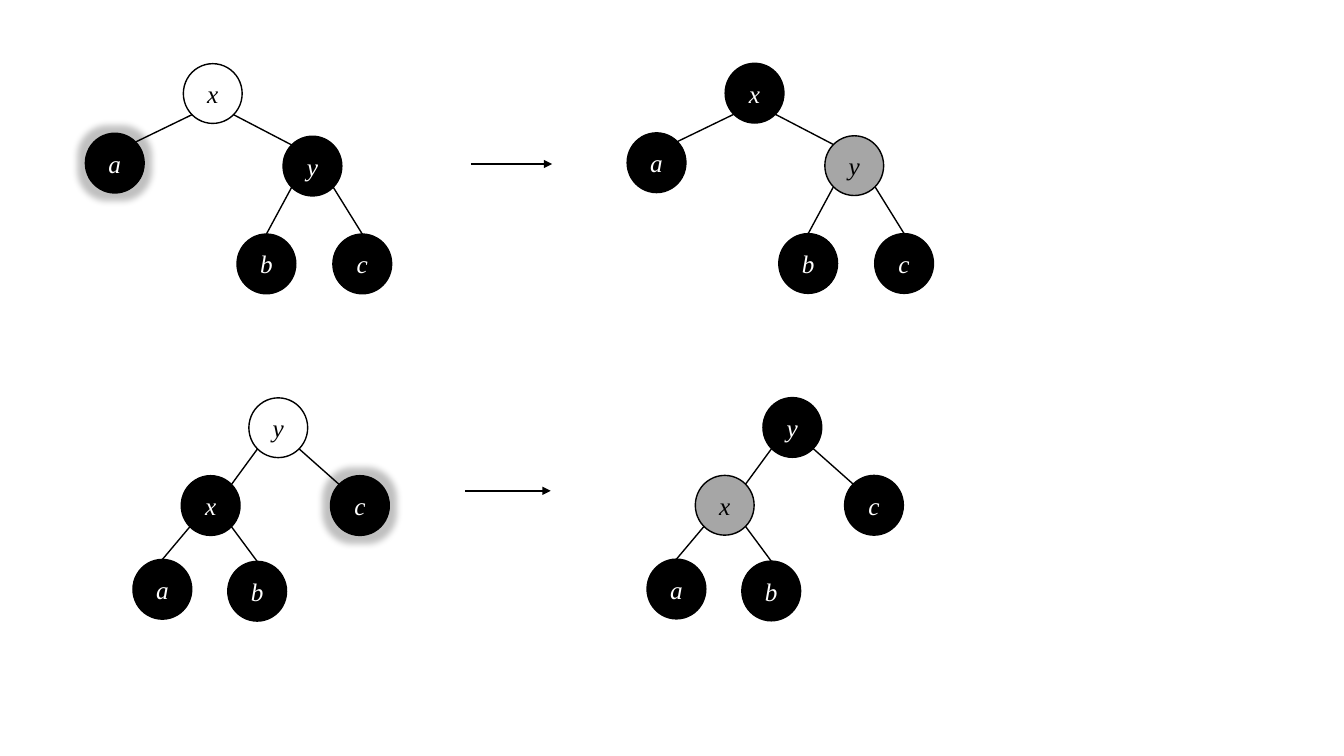
import pptx
import pptx.util
import pptx.dml.color
import pptx.enum.shapes
import pptx.enum.text
import pptx.oxml
import pptx.oxml.ns

Pt = pptx.util.Pt
BLACK, WHITE, GRAY = "000000", "FFFFFF", "A6A6A6"
NODE_WIDTH, NODE_HEIGHT = 42, 42.7
CORNER = 0.5 - 0.5 ** 1.5
TEXT_FORMAT = {
    "vertical_anchor": pptx.enum.text.MSO_ANCHOR.MIDDLE,
    "word_wrap": True,
    "margin_left": Pt(3),
    "margin_top": Pt(3),
    "margin_right": Pt(3),
    "margin_bottom": Pt(3),
}
FONT_FORMAT = {"name": "Times New Roman", "size": Pt(18), "italic": True}

RIGHT_HEAVY = {
    "nodes": {"x": (70, 0), "a": (0, 49.7), "y": (141.2, 51.8),
              "b": (108.3, 121.7), "c": (176.8, 121.7)},
    "root": "x", "children": "ay", "inner": "y", "leaves": "bc",
}
LEFT_HEAVY = {
    "nodes": {"y": (82.8, 0), "a": (0, 115.4), "x": (34.5, 55.6),
              "b": (67.7, 116.8), "c": (141.1, 55.6)},
    "root": "y", "children": "xc", "inner": "x", "leaves": "ab",
}


def color(hex_string):
    return pptx.dml.color.RGBColor.from_string(hex_string)


def set_format(target, values):
    for name, value in values.items():
        setattr(target, name, value)


def add_line(shapes, start, end, width, arrow=False):
    connector = shapes.add_connector(
        pptx.enum.shapes.MSO_CONNECTOR.STRAIGHT,
        *(Pt(value) for value in (*start, *end)))
    connector.line.color.rgb = color(BLACK)
    connector.line.width = Pt(width)
    properties = connector._element.spPr
    if arrow:
        line = properties.find(pptx.oxml.ns.qn("a:ln"))
        line.append(pptx.oxml.parse_xml(
            f'<a:tailEnd {pptx.oxml.ns.nsdecls("a")} type="triangle"/>'))
    properties.append(pptx.oxml.parse_xml(
        f'<a:effectLst {pptx.oxml.ns.nsdecls("a")}/>'))


def add_glow(shape):
    effects = shape._element.spPr.find(pptx.oxml.ns.qn("a:effectLst"))
    effects.append(pptx.oxml.parse_xml(
        f'<a:glow {pptx.oxml.ns.nsdecls("a")} rad="{Pt(10)}">'
        f'<a:srgbClr val="{BLACK}"><a:alpha val="25000"/></a:srgbClr></a:glow>'))


def add_node(shapes, label, left, top, fill):
    shape = shapes.add_shape(
        pptx.enum.shapes.MSO_SHAPE.OVAL,
        Pt(left), Pt(top), Pt(NODE_WIDTH), Pt(NODE_HEIGHT))
    shape.shadow.inherit = False
    shape.fill.solid()
    shape.fill.fore_color.rgb = color(fill)
    shape.line.color.rgb = color(BLACK)
    shape.line.width = Pt(1)
    set_format(shape.text_frame, TEXT_FORMAT)
    paragraph = shape.text_frame.paragraphs[0]
    paragraph.alignment = pptx.enum.text.PP_ALIGN.CENTER
    run = paragraph.add_run()
    run.text = label
    set_format(run.font, FONT_FORMAT)
    run.font.color.rgb = color(WHITE if fill == BLACK else BLACK)
    return shape


def add_tree(slide, left, top, tree, fills, glowing=""):
    shapes = slide.shapes.add_group_shape().shapes
    places = {label: (left + x, top + y) for label, (x, y) in tree["nodes"].items()}

    def point(label, across, down):
        x, y = places[label]
        return x + NODE_WIDTH * across, y + NODE_HEIGHT * down

    sides = (CORNER, 1 - CORNER)
    for side, child, leaf in zip(sides, tree["children"], tree["leaves"]):
        add_line(shapes, point(tree["root"], side, 1 - CORNER),
                 point(child, 1 - side, CORNER), 1)
        add_line(shapes, point(tree["inner"], side, 1 - CORNER),
                 point(leaf, 0.5, 0), 1)
    for label, place in places.items():
        shape = add_node(shapes, label, *place, fills.get(label, BLACK))
        if label == glowing:
            add_glow(shape)


def main():
    presentation = pptx.Presentation()
    presentation.slide_width = Pt(960)
    presentation.slide_height = Pt(540)
    slide = presentation.slides.add_slide(presentation.slide_layouts[6])
    add_line(slide.shapes, (336.4, 117.2), (394.4, 117.2), 1.5, arrow=True)
    add_line(slide.shapes, (332.4, 350.6), (393.4, 350.6), 1.5, arrow=True)
    add_tree(slide, 61, 45.5, RIGHT_HEAVY, {"x": WHITE}, "a")
    add_tree(slide, 448, 45.2, RIGHT_HEAVY, {"y": GRAY})
    add_tree(slide, 95, 284.2, LEFT_HEAVY, {"y": WHITE}, "c")
    add_tree(slide, 462.2, 284, LEFT_HEAVY, {"x": GRAY})
    presentation.save("out.pptx")


if __name__ == "__main__":
    main()
